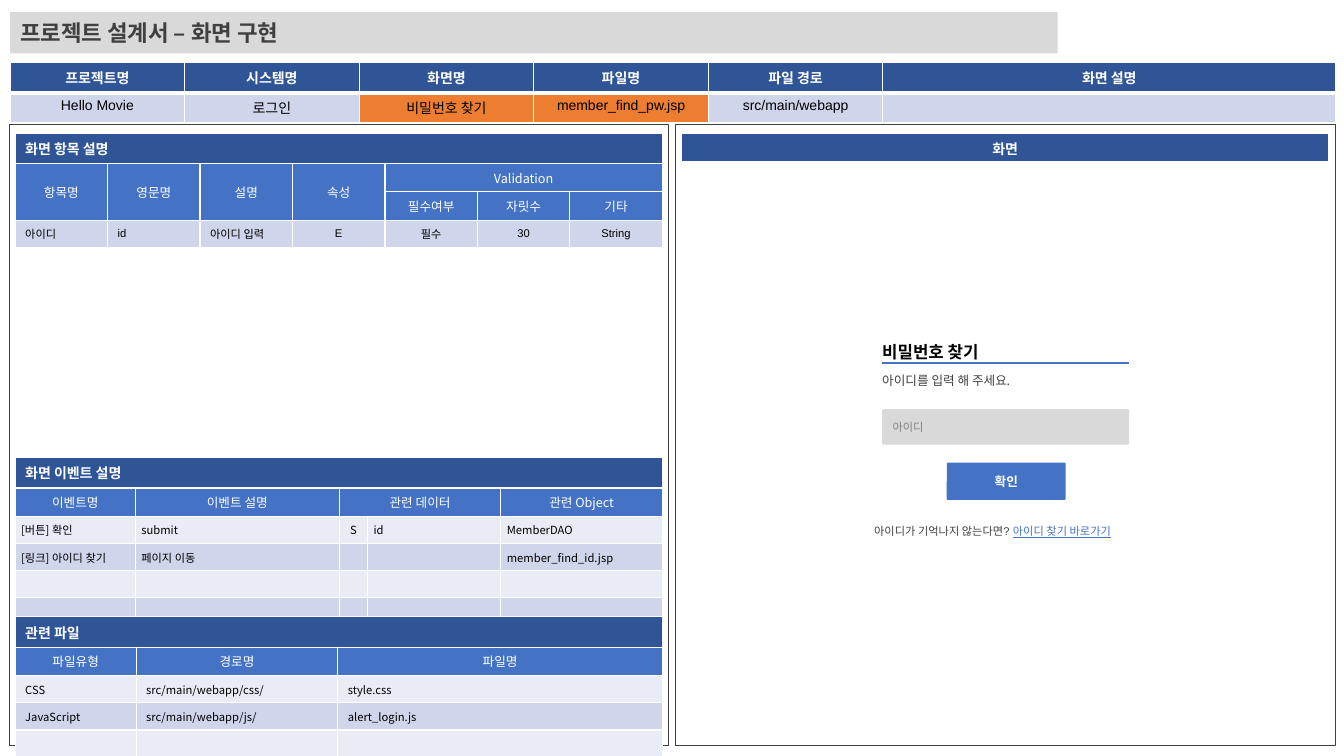
from lxml import etree
from pptx import Presentation
from pptx import util as u
from pptx.dml import color
from pptx.enum import shapes, text
from pptx.oxml import ns

SANS, ARIAL = "Noto Sans CJK KR", "Arial"
COLORS = {
    "navy": "2F5597", "blue": "4472C4", "orange": "ED7D31", "band": "CFD5EA",
    "pale": "E9EBF5", "gray": "D9D9D9", "dark": "404040", "hint": "808080",
    "white": "FFFFFF", "black": "000000",
}
MARGIN, PAD, PANEL_TOP, PANEL_W, PANEL_H, PANEL_STEP = 0.09, 0.06, 1.23, 6.54, 6.17, 6.61
INNER_X, INNER_W = MARGIN + PAD, PANEL_W - 2 * PAD
FORM_X, FORM_W = 8.75, 2.45

ROWS = {
    "top": dict(fill="navy", height=0.3, size=10, bold=True, color="white", name=ARIAL),
    "info": dict(fill="band", height=0.29, size=10, bold=False, color="black", name=ARIAL),
    "title": dict(fill="navy", height=0.3, size=10, bold=True, color="white", name=SANS),
    "screen": dict(fill="navy", height=0.27, size=10, bold=True, color="white", name=SANS),
    "head": dict(fill="blue", height=0.28, size=9, bold=False, color="white", name=SANS),
    "item": dict(fill="band", height=0.27, size=8, bold=False, color="black", name=ARIAL),
    "odd": dict(fill="pale", height=0.27, size=8, bold=False, color="black", name=SANS),
    "even": dict(fill="band", height=0.27, size=8, bold=False, color="black", name=SANS),
}
CENTERED_ROWS = ("top", "info", "screen", "head")
TOP_ANCHORED = ("top", "info", "screen")
THICK_BOTTOM = ("top", "screen")

TABLES = [
    dict(at=(0.1, 0.62, 13.15), cols=[1.73] * 5 + [4.49], accents=[(1, 2), (1, 3)], rows=[
        ("top", ["프로젝트명", "시스템명", "화면명", "파일명", "파일 경로", "화면 설명"]),
        ("info", ["Hello Movie", "로그인", "비밀번호 찾기", "member_find_pw.jsp", "src/main/webapp", ""]),
    ]),
    dict(at=(INNER_X, 1.32, INNER_W), cols=[1] * 7, centered=(3, 4, 5, 6),
         merges=[(0, 0, 0, 6), (1, 4, 1, 6)] + [(1, c, 2, c) for c in range(4)], rows=[
        ("title", ["화면 항목 설명"]),
        ("head", ["항목명", "영문명", "설명", "속성", "Validation"]),
        ("head", ["", "", "", "", "필수여부", "자릿수", "기타"]),
        ("item", ["아이디", "id", "아이디 입력", "E", "필수", "30", "String"]),
    ]),
    dict(at=(INNER_X, 4.54, INNER_W), cols=[1.19, 2.02, 0.28, 1.32, 1.6], centered=(2,), inset=0.06,
         merges=[(0, 0, 0, 4), (1, 2, 1, 3)], rows=[
        ("title", ["화면 이벤트 설명"]),
        ("head", ["이벤트명", "이벤트 설명", "관련 데이터", "", "관련 Object"]),
        ("odd", ["[버튼] 확인", "submit", "S", "id", "MemberDAO"]),
        ("even", ["[링크] 아이디 찾기", "페이지 이동", "", "", "member_find_id.jsp"]),
        ("odd", []),
        ("even", []),
    ]),
    dict(at=(INNER_X, 6.12, INNER_W), cols=[1.2, 2, 3.22], merges=[(0, 0, 0, 2)], rows=[
        ("title", ["관련 파일"]),
        ("head", ["파일유형", "경로명", "파일명"]),
        ("odd", ["CSS", "src/main/webapp/css/", "style.css"]),
        ("even", ["JavaScript", "src/main/webapp/js/", "alert_login.js"]),
        ("odd", []),
    ]),
    dict(at=(INNER_X + PANEL_STEP, 1.32, INNER_W), cols=[1], rows=[("screen", ["화면"])]),
]

BOXES = [
    ("roundRect", (FORM_X, 4.06, FORM_W, 0.35), "gray", "l",
     [("아이디", dict(size=8, color="hint", name=SANS))]),
    ("roundRect", (9.39, 4.59, 1.18, 0.37), "blue", "c",
     [("확인", dict(size=9, bold=True, color="white", name=ARIAL))]),
    ("rect", (0.1, 0.12, 10.39, 0.41), "gray", "l",
     [("프로젝트 설계서 – 화면 구현", dict(size=16, bold=True, color="dark", name=SANS))]),
]
LABELS = [
    ((FORM_X, 3.39, 1.07, 0.2), [("비밀번호 찾기", dict(size=12, bold=True, color="black", name=SANS))]),
    ((FORM_X, 3.7, 1.42, 0.15), [("아이디를 입력 해 주세요.", dict(size=9, color="dark", name=SANS))]),
    ((8.67, 5.2, 2.61, 0.13), [
        ("아이디가 기억나지 않는다면? ", dict(size=8, color="dark", name=ARIAL)),
        ("아이디 찾기 바로가기", dict(size=8, color="blue", name=ARIAL, underline=True))]),
]
GEOMETRY = {"rect": shapes.MSO_SHAPE.RECTANGLE, "roundRect": shapes.MSO_SHAPE.ROUNDED_RECTANGLE}
ALIGN = {"l": text.PP_ALIGN.LEFT, "c": text.PP_ALIGN.CENTER}


def rgb(name):
    return color.RGBColor.from_string(COLORS[name])


def inches(values):
    return [u.Inches(v) for v in values]


def paint(target, name):
    target.fill.solid()
    target.fill.fore_color.rgb = rgb(name)


def write(tf, runs, align="l"):
    p = tf.paragraphs[0]
    p.alignment = ALIGN[align]
    for words, style in runs:
        r = p.add_run()
        r.text = words
        for key, value in style.items():
            if key == "color":
                r.font.color.rgb = rgb(value)
            else:
                setattr(r.font, key, u.Pt(value) if key == "size" else value)
        ea = etree.SubElement(r.font._element, ns.qn("a:ea"))
        ea.set("typeface", SANS)


def border(cell, bottom):
    tcPr = cell._tc.get_or_add_tcPr()
    for side, width in (("L", 1), ("R", 1), ("T", 1), ("B", bottom)):
        ln = etree.SubElement(tcPr, ns.qn("a:ln" + side), w=str(u.Pt(width)))
        fill = etree.SubElement(ln, ns.qn("a:solidFill"))
        etree.SubElement(fill, ns.qn("a:srgbClr"), val=COLORS["white"])


def fill_cell(cell, kind, words, align, inset, accent):
    style = dict(ROWS[kind])
    fill = style.pop("fill")
    style.pop("height")
    border(cell, 3 if kind in THICK_BOTTOM else 1)
    paint(cell, "orange" if accent else fill)
    cell.margin_left = cell.margin_right = u.Inches(inset)
    cell.vertical_anchor = text.MSO_ANCHOR.TOP if kind in TOP_ANCHORED else text.MSO_ANCHOR.MIDDLE
    if words:
        write(cell.text_frame, [(words, style)], align)
    else:
        p = cell.text_frame.paragraphs[0]
        etree.SubElement(p._p, ns.qn("a:endParaRPr"), sz=str(style["size"] * 100))


def add_grid(s, at, cols, rows, merges=(), centered=(), accents=(), inset=0.1):
    heights = [ROWS[kind]["height"] for kind, _ in rows]
    x, y, width = at
    table = s.shapes.add_table(len(rows), len(cols), *inches((x, y, width, sum(heights)))).table
    table.first_row = table.horz_banding = False
    for column, share in zip(table.columns, cols):
        column.width = u.Inches(width * share / sum(cols))
    for i, (kind, words) in enumerate(rows):
        table.rows[i].height = u.Inches(heights[i])
        for j in range(len(cols)):
            center = kind in CENTERED_ROWS or (kind != "title" and j in centered)
            fill_cell(table.cell(i, j), kind, words[j] if j < len(words) else "",
                      "c" if center else "l", inset if kind in ("odd", "even") else 0.1,
                      (i, j) in accents)
    for top, left, bottom, right in merges:
        table.cell(top, left).merge(table.cell(bottom, right))


def add_box(s, geometry, at, fill=None):
    sp = s.shapes.add_shape(GEOMETRY[geometry], *inches(at))
    sp.shadow.inherit = False
    if geometry == "roundRect":
        sp.adjustments[0] = 0.04
    if fill:
        paint(sp, fill)
        sp.line.fill.background()
    else:
        sp.fill.background()
        sp.line.color.rgb = rgb("dark")
        sp.line.width = u.Pt(0.5)
    return sp


def main():
    prs = Presentation()
    prs.slide_width, prs.slide_height = inches((13.33, 7.5))
    s = prs.slides.add_slide(prs.slide_layouts[6])
    for panel in range(2):
        add_box(s, "rect", (MARGIN + panel * PANEL_STEP, PANEL_TOP, PANEL_W, PANEL_H))
    for table in TABLES:
        add_grid(s, **table)
    for geometry, at, fill, align, runs in BOXES:
        tf = add_box(s, geometry, at, fill).text_frame
        tf.vertical_anchor = text.MSO_ANCHOR.MIDDLE
        write(tf, runs, align)
    rule = s.shapes.add_connector(shapes.MSO_CONNECTOR.STRAIGHT,
                                  *inches((FORM_X, 3.6, FORM_X + FORM_W, 3.6)))
    rule.line.color.rgb = rgb("blue")
    rule.line.width = u.Pt(1)
    etree.SubElement(rule._element.spPr, ns.qn("a:effectLst"))
    for at, runs in LABELS:
        tf = s.shapes.add_textbox(*inches(at)).text_frame
        tf.margin_left = tf.margin_top = tf.margin_right = tf.margin_bottom = 0
        tf.word_wrap = False
        tf.auto_size = text.MSO_AUTO_SIZE.SHAPE_TO_FIT_TEXT
        write(tf, runs)
    prs.save("out.pptx")


if __name__ == "__main__":
    main()
